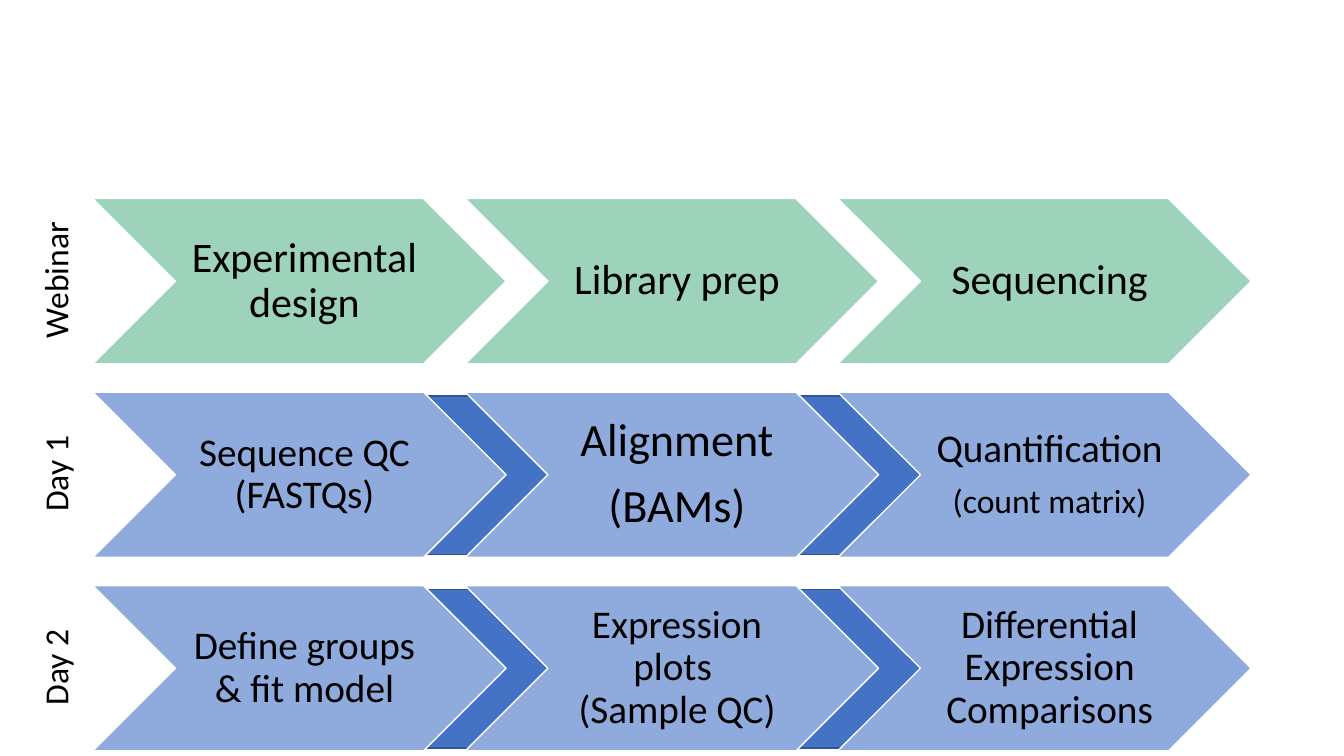
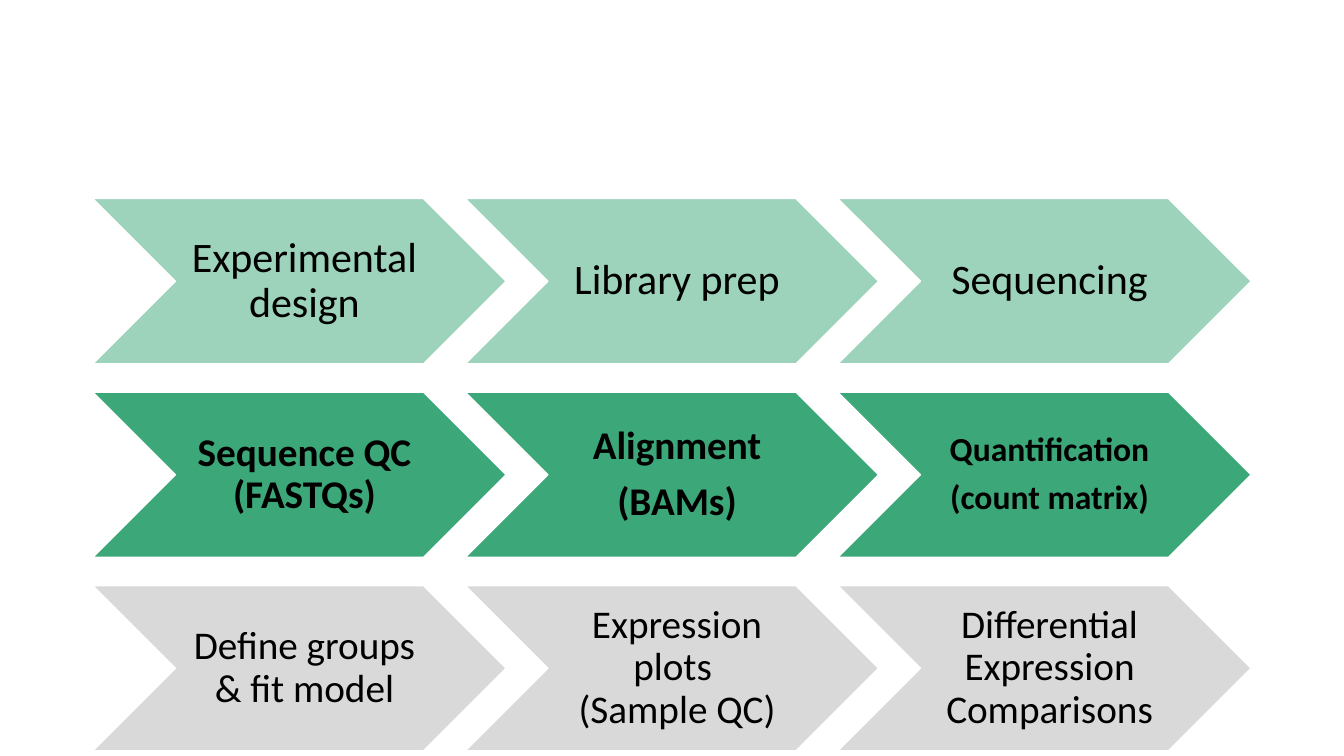
from lxml.etree import SubElement
from pptx import Presentation
from pptx.dml.color import RGBColor
from pptx.enum.shapes import MSO_SHAPE
from pptx.enum.text import MSO_ANCHOR, MSO_AUTO_SIZE, PP_ALIGN
from pptx.oxml.ns import qn
from pptx.util import Inches, Pt

GREEN = RGBColor(0x3C, 0xA7, 0x79)
LIGHT_BLUE = RGBColor(0x8F, 0xAA, 0xDC)
BLUE = RGBColor(0x44, 0x72, 0xC4)
DARK_BLUE = RGBColor(0x32, 0x54, 0x91)
GRAY = RGBColor(0xD8, 0xD9, 0xD8)
BLACK = RGBColor(0, 0, 0)
WHITE = RGBColor(0xFF, 0xFF, 0xFF)
FONT = "Calibri"

# Content: rows of steps, each step a list of paragraphs (\v breaks a line)
STEPS = [
    [["Experimental design"], ["Library prep"], ["Sequencing"]],
    [["Sequence QC\v(FASTQs)"], ["Alignment", "(BAMs)"],
     ["Quantification", "(count matrix)"]],
    [["Define groups & fit model"], ["Expression plots \v(Sample QC)"],
     ["Differential Expression Comparisons"]],
]
TOP_SIZES = [[30], [30], [30]]
BOTTOM_SIZES = [[28], [28], [28]]
SLIDES = [
    {"labels": ["Webinar", "Day 1", "Day 2"],
     "fills": [GREEN, LIGHT_BLUE, LIGHT_BLUE],
     "sizes": [TOP_SIZES, [[28], [33, 33], [28, 24]], BOTTOM_SIZES],
     "linked_rows": [1, 2], "bold_rows": []},
    {"labels": [],
     "fills": [GREEN, GREEN, GRAY],
     "sizes": [TOP_SIZES, [[28], [28, 28], [24, 24]], BOTTOM_SIZES],
     "linked_rows": [], "bold_rows": [1]},
]

# Grid, in inches
LEFT, TOP = 0.92, 1.97
COLUMN_STEP, ROW_STEP = 3.695, 1.92
STEP_WIDTH, STEP_HEIGHT = 4.1, 1.64
LINK_LEFT, LINK_STEP, LINK_WIDTH, LINK_HEIGHT = 4.09, 3.58, 1.59, 1.57
LABEL_LEFT, LABEL_WIDTH, LABEL_HEIGHT = -0.24, 1.57, 0.5


def row_top(row):
    return TOP + row * ROW_STEP


def add_filled_shape(slide, kind, box, fill, line):
    shape = slide.shapes.add_shape(kind, *map(Inches, box))
    shape.shadow.inherit = False
    shape.fill.solid()
    shape.fill.fore_color.rgb = fill
    shape.line.color.rgb = line
    shape.line.width = Pt(1)
    return shape


def format_paragraph(paragraph, size, bold=False):
    paragraph.alignment = PP_ALIGN.CENTER
    for run in paragraph.runs:
        run.font.name = FONT
        run.font.size = Pt(size)
        run.font.bold = bold
        run.font.color.rgb = BLACK


def add_link(slide, row, column):
    box = (LINK_LEFT + column * LINK_STEP, row_top(row) + 0.04, LINK_WIDTH, LINK_HEIGHT)
    add_filled_shape(slide, MSO_SHAPE.RECTANGLE, box, BLUE, DARK_BLUE)


def add_step(slide, row, column, lines, sizes, fill, bold):
    box = (LEFT + column * COLUMN_STEP, row_top(row), STEP_WIDTH, STEP_HEIGHT)
    shape = add_filled_shape(slide, MSO_SHAPE.CHEVRON, box, fill, WHITE)
    if row == 0:
        color = shape.fill._xPr.find(qn("a:solidFill")).find(qn("a:srgbClr"))
        SubElement(color, qn("a:alpha"), val="50000")
    frame = shape.text_frame
    frame.word_wrap = True
    frame.vertical_anchor = MSO_ANCHOR.MIDDLE
    frame.margin_left = Inches(0.14)
    frame.margin_right = frame.margin_top = frame.margin_bottom = Inches(0.04)
    frame.text = "\n".join(lines)
    for paragraph, size in zip(frame.paragraphs, sizes):
        format_paragraph(paragraph, size, bold)
        paragraph.line_spacing = 0.9
        paragraph.space_after = Pt(size * 0.35)


def add_label(slide, row, text):
    top = row_top(row) + (STEP_HEIGHT - LABEL_HEIGHT) / 2 - 0.01
    box = (LABEL_LEFT, top, LABEL_WIDTH, LABEL_HEIGHT)
    label = slide.shapes.add_textbox(*map(Inches, box))
    label.rotation = 270
    frame = label.text_frame
    frame.word_wrap = True
    frame.auto_size = MSO_AUTO_SIZE.SHAPE_TO_FIT_TEXT
    frame.text = text
    format_paragraph(frame.paragraphs[0], 24)


presentation = Presentation()
presentation.slide_width = Inches(13.33)
presentation.slide_height = Inches(7.5)

for content in SLIDES:
    slide = presentation.slides.add_slide(presentation.slide_layouts[6])
    # Links lie behind the steps
    for row in content["linked_rows"]:
        for column in range(2):
            add_link(slide, row, column)
    # Steps
    for row, steps in enumerate(STEPS):
        for column, lines in enumerate(steps):
            add_step(slide, row, column, lines, content["sizes"][row][column],
                     content["fills"][row], row in content["bold_rows"])
    # Row labels
    for row, text in enumerate(content["labels"]):
        add_label(slide, row, text)

presentation.save("out.pptx")
